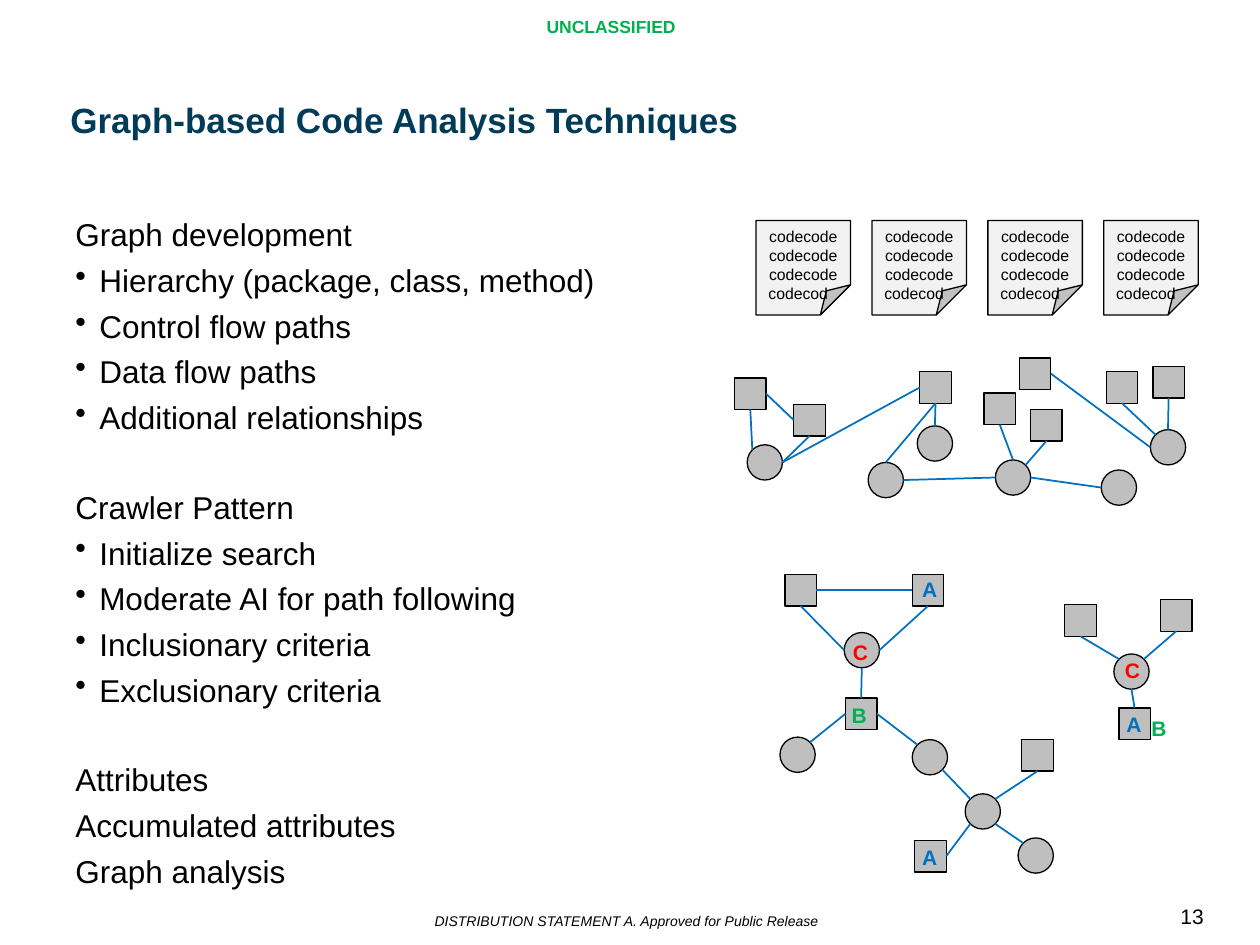
from dataclasses import dataclass
from math import cos, radians, sin

from lxml import etree
from pptx import Presentation
from pptx.dml.color import RGBColor
from pptx.enum.shapes import MSO_CONNECTOR, MSO_SHAPE
from pptx.enum.text import MSO_ANCHOR, PP_ALIGN
from pptx.oxml.ns import qn
from pptx.util import Inches, Pt

LEFT, CENTER = PP_ALIGN.LEFT, PP_ALIGN.CENTER
TOP, MIDDLE = MSO_ANCHOR.TOP, MSO_ANCHOR.MIDDLE
SQUARE, CIRCLE, NOTE = MSO_SHAPE.RECTANGLE, MSO_SHAPE.OVAL, MSO_SHAPE.FOLDED_CORNER
STRAIGHT = MSO_CONNECTOR.STRAIGHT


@dataclass(frozen=True)
class Theme:
    font: str = "Arial"
    black: str = "000000"
    navy: str = "003B58"
    blue: str = "0070C0"
    green: str = "00B050"
    red: str = "FF0000"
    node: str = "BFBFBF"
    note: str = "F2F2F2"
    title_size: int = 20
    body_size: int = 18
    label_size: int = 12
    mark_size: int = 10
    code_size: int = 9
    footer_size: int = 8


theme = Theme()
deck = Presentation()
deck.slide_width, deck.slide_height = Inches(10), Inches(7.5)
page = deck.slides.add_slide(deck.slide_layouts[6])


def write(box, lines, size, color, align=LEFT, anchor=TOP, **style):
    """Fill a shape with one paragraph per line and return the paragraphs."""
    frame = box.text_frame
    frame.word_wrap = True
    frame.vertical_anchor = anchor
    frame.text = "\n".join(lines)
    for para in frame.paragraphs:
        para.alignment = align
        span = para.runs[0]
        span.font.color.rgb = RGBColor.from_string(color)
        for name, value in {"name": theme.font, "size": Pt(size), **style}.items():
            setattr(span.font, name, value)
    return frame.paragraphs


def add_outlined(kind, left, top, size, fill):
    shape = page.shapes.add_shape(kind, *map(Inches, (left, top, size, size)))
    shape.shadow.inherit = False
    shape.fill.solid()
    shape.fill.fore_color.rgb = RGBColor.from_string(fill)
    shape.line.color.rgb = RGBColor.from_string(theme.black)
    shape.line.width = Pt(0.75)
    return shape


# Title, markings and page number
captions = [
    ("UNCLASSIFIED", (4.08, 0.08, 1.54, 0.27), theme.mark_size, theme.green,
     {"align": CENTER, "bold": True}),
    ("DISTRIBUTION STATEMENT A. Approved for Public Release", (1.59, 7.19, 6.77, 0.24),
     theme.footer_size, theme.black, {"align": CENTER, "italic": True}),
    ("Graph-based Code Analysis Techniques", (0.46, 0.6, 9.03, 0.7),
     theme.title_size, theme.navy, {"anchor": MIDDLE, "bold": True}),
    ("13", (9.27, 7.12, 0.56, 0.31), theme.label_size, theme.black, {}),
]
for caption, place, size, color, style in captions:
    box = page.shapes.add_textbox(*map(Inches, place))
    write(box, [caption], size, color, **style)

# Body: each section is a list of plain lines followed by bullets
sections = [
    (["Graph development"],
     ["Hierarchy (package, class, method)", "Control flow paths", "Data flow paths",
      "Additional relationships"]),
    (["Crawler Pattern"],
     ["Initialize search", "Moderate AI for path following", "Inclusionary criteria",
      "Exclusionary criteria"]),
    (["Attributes", "Accumulated attributes", "Graph analysis"], []),
]
body = page.shapes.add_textbox(Inches(0.5), Inches(1.66), Inches(4.5), Inches(4.95))
body_lines = [line for plain, bullets in sections for line in plain + bullets]
paras = iter(write(body, body_lines, theme.body_size, theme.black))
for number, (plain, bullets) in enumerate(sections):
    for row in range(len(plain + bullets)):
        para = next(paras)
        if row:
            para.space_before = Pt(4.5)
        else:
            para.space_before = Pt(29.7 if number else 0)
        if row >= len(plain):
            properties = para._p.get_or_add_pPr()
            properties.set("marL", str(Inches(0.19)))
            properties.set("indent", str(-Inches(0.19)))
            etree.SubElement(properties, qn("a:buChar")).set("char", "•")

# Source files
for column in range(4):
    note = add_outlined(NOTE, 6 + 0.92 * column, 1.75, 0.75, theme.note)
    fold = etree.SubElement(note._element.spPr.find(qn("a:prstGeom")).find(qn("a:avLst")),
                            qn("a:gd"))
    fold.set("name", "adj")
    fold.set("fmla", "val 31900")
    code = write(note, ["codecodecodecode", "codecode", "codecod"],
                 theme.code_size, theme.black, CENTER)
    code[-1].alignment = LEFT

# Graph nodes: s = square, c = circle; upper graph 1-8, lower graph 11-18
positions = {
    "s1": (5.83, 3), "s2": (6.3, 3.21), "s3": (7.3, 2.95), "s4": (8.18, 3.25),
    "s5": (7.81, 3.12), "s6": (8.09, 2.84), "s7": (8.78, 2.95), "s8": (9.15, 2.91),
    "c1": (5.93, 3.53), "c2": (7.28, 3.38), "c3": (6.89, 3.67), "c4": (7.9, 3.65),
    "c5": (9.13, 3.41), "c6": (8.74, 3.73),
    "s11": (6.23, 4.56), "s12": (7.24, 4.56), "s13": (6.71, 5.54), "s14": (8.11, 5.87),
    "s15": (7.26, 6.67), "s16": (8.88, 5.62), "s17": (8.45, 4.8), "s18": (9.21, 4.76),
    "c11": (6.7, 5.02), "c12": (6.19, 5.85), "c13": (7.24, 5.87), "c14": (7.66, 6.3),
    "c15": (8.84, 5.19), "c16": (8.08, 6.65),
}
nodes = {}
for name, (left, top) in positions.items():
    kind, size = (SQUARE, 0.25) if name[0] == "s" else (CIRCLE, 0.28)
    nodes[name] = add_outlined(kind, left, top, size, theme.node)

# Edges: node and site at each end; sites run anticlockwise from the top,
# four on a square and eight on a circle
edges = [
    ("s1", 3, "s2", 1), ("c1", 6, "s2", 2), ("c1", 1, "s1", 2), ("c1", 6, "s3", 1),
    ("c2", 0, "s3", 2), ("c3", 0, "s3", 2), ("c3", 6, "c4", 2), ("s5", 2, "c4", 0),
    ("c4", 7, "s4", 2), ("c4", 6, "c6", 2), ("s7", 2, "c5", 7 - 6), ("s8", 2, "c5", 0),
    ("s6", 3, "c5", 2),
    ("s11", 3, "s12", 1), ("c11", 6, "s12", 2), ("c11", 2, "s11", 2),
    ("c11", 4, "s13", 0), ("c12", 7, "s13", 1), ("c13", 1, "s13", 3),
    ("c13", 5, "c14", 1), ("s15", 3, "c14", 3), ("c14", 7, "s14", 2),
    ("c14", 5, "c16", 1), ("s17", 2, "c15", 1), ("s18", 2, "c15", 7),
    ("s16", 0, "c15", 4),
]
for start, start_site, end, end_site in edges:
    points = []
    for name, site in ((start, start_site), (end, end_site)):
        node = nodes[name]
        angle = radians(90 + site * (90 if name[0] == "s" else 45))
        radius = node.width / 2
        points += [int(node.left + radius * (1 + cos(angle))),
                   int(node.top + radius * (1 - sin(angle)))]
    edge = page.shapes.add_connector(STRAIGHT, *points)
    if start[0] == "s":
        edge.begin_connect(nodes[start], start_site)
    if end[0] == "s":
        edge.end_connect(nodes[end], end_site)
    edge.line.color.rgb = RGBColor.from_string(theme.blue)
    edge.line.width = Pt(1)
    etree.SubElement(edge._element.spPr, qn("a:effectLst"))

# Attribute letters
letter_colors = {"A": theme.blue, "B": theme.green, "C": theme.red}
letters = [
    ("A", 7.22, 4.53), ("A", 8.84, 5.6), ("A", 7.22, 6.65), ("B", 9.04, 5.63),
    ("B", 6.66, 5.53), ("C", 8.83, 5.17), ("C", 6.67, 5.03),
]
for letter, left, top in letters:
    box = page.shapes.add_textbox(*map(Inches, (left, top, 0.42, 0.3)))
    write(box, [letter], theme.label_size, letter_colors[letter], bold=True)

deck.save("out.pptx")
